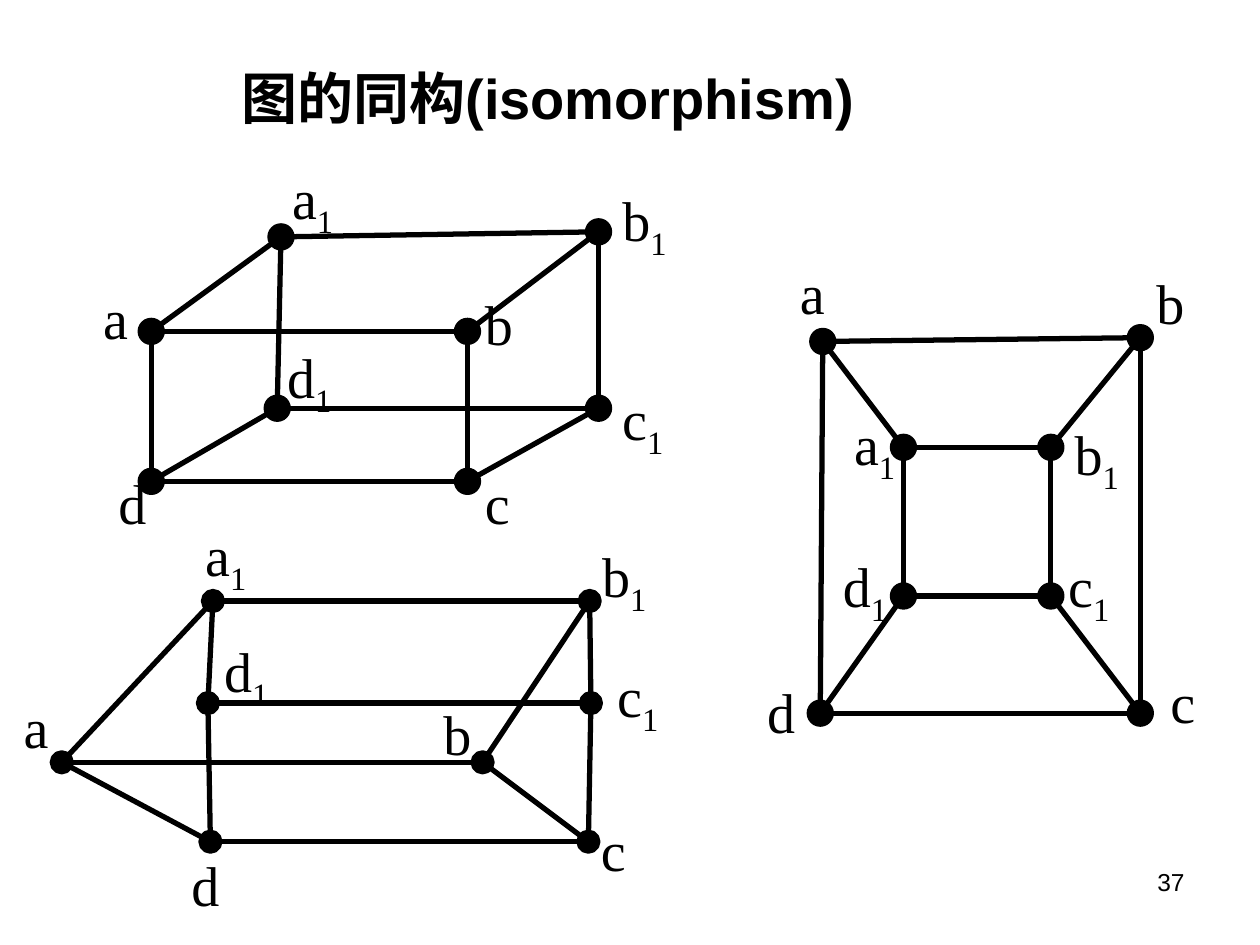
"""Build a slide showing three isomorphic drawings of the cube graph."""
from lxml.etree import SubElement
from pptx import Presentation
from pptx.dml.color import RGBColor
from pptx.enum.shapes import MSO_CONNECTOR, MSO_SHAPE
from pptx.enum.text import MSO_ANCHOR, PP_ALIGN
from pptx.oxml.ns import qn
from pptx.util import Inches, Pt

COLORS = {"ink": "000000", "paper": "FFFFFF"}
INK = RGBColor.from_string(COLORS["ink"])
COLS, ROWS = 100, 75

prs = Presentation()
prs.slide_width, prs.slide_height = Inches(10), Inches(7.5)
CELL = prs.slide_width / COLS
s = prs.slides.add_slide(prs.slide_layouts[6])
s.background.fill.solid()
s.background.fill.fore_color.rgb = RGBColor.from_string(COLORS["paper"])


def grid(*cells):
    return [round(c * CELL) for c in cells]


def add_text(box, text, sub="", size=32, font="Times New Roman", bold=False,
             align=PP_ALIGN.LEFT, wrap=False):
    tf = s.shapes.add_textbox(*grid(*box)).text_frame
    tf.word_wrap = wrap
    p = tf.paragraphs[0]
    p.alignment = align
    for part in filter(None, (text, sub)):
        r = p.add_run()
        r.text = part
        r.font.size, r.font.name, r.font.bold = Pt(size), font, bold
        r.font.color.rgb = INK
        if part == sub:
            r._r.get_or_add_rPr().set("baseline", "-25000")
    return tf


add_text((71.7, 68.3, 23.3, 5.2), "37", size=14, font="Arial",
         align=PP_ALIGN.RIGHT, wrap=True)
title = add_text((1.7, 3.6, 85, 8.3), "图的同构(isomorphism)", font="Arial",
                 bold=True, align=PP_ALIGN.CENTER, wrap=True)
title.vertical_anchor = MSO_ANCHOR.MIDDLE
title.margin_right = Inches(0.24)

EDGES = [("a", "b"), ("b", "c"), ("c", "d"), ("d", "a"),
         ("a1", "b1"), ("b1", "c1"), ("c1", "d1"), ("d1", "a1"),
         ("a", "a1"), ("b", "b1"), ("c", "c1"), ("d", "d1")]

box_view = {
    "a": (12, 26.3, 7.2, 22), "b": (37.1, 26.3, 37.5, 22.5),
    "c": (37.1, 38.2, 37.5, 36.7), "d": (12, 38.2, 8.4, 36.7),
    "a1": (22.3, 18.8, 22.2, 12.5), "b1": (47.5, 18.4, 48.4, 14.2),
    "c1": (47.5, 32.4, 48.4, 30), "d1": (22, 32.4, 21.8, 26.7),
}
nested_view = {
    "a": (65.3, 27.1, 62.5, 20), "b": (90.5, 26.8, 90.8, 20.8),
    "c": (90.5, 56.6, 91.9, 52.5), "d": (65.1, 56.6, 59.9, 53.3),
    "a1": (71.7, 35.5, 66.8, 32), "b1": (83.4, 35.5, 84.3, 32.8),
    "c1": (83.4, 47.3, 83.8, 43.3), "d1": (71.7, 47.3, 65.9, 43.3),
}
prism_view = {
    "a": (4.9, 60.5, 0.9, 54.5), "b": (38.3, 60.5, 34.2, 55),
    "c": (46.7, 66.8, 46.7, 64.2), "d": (16.7, 66.8, 14.2, 67),
    "a1": (16.9, 47.7, 15.3, 40.8), "b1": (46.8, 47.7, 46.8, 42.5),
    "c1": (46.9, 55.8, 48, 52), "d1": (16.5, 55.8, 16.8, 50),
}

for view, dot in ((box_view, 1.75), (nested_view, 1.75), (prism_view, 1.5)):
    for start, end in EDGES:
        ends = grid(*view[start][:2], *view[end][:2])
        line = s.shapes.add_connector(MSO_CONNECTOR.STRAIGHT, *ends)
        line.line.color.rgb, line.line.width = INK, Pt(3)
        SubElement(line._element.spPr, qn("a:effectLst"))
    for x, y, *_ in view.values():
        sp = s.shapes.add_shape(MSO_SHAPE.OVAL,
                                *grid(x - dot / 2, y - dot / 2, dot, dot))
        sp.shadow.inherit = False
        sp.fill.solid()
        sp.fill.fore_color.rgb = INK
        sp.line.color.rgb, sp.line.width = INK, Pt(3)

for view in (box_view, nested_view, prism_view):
    for name, (_, _, left, top) in view.items():
        letter, sub = name[0], name[1:]
        width = (4.2 if letter in "bd" else 4) + (1.3 if sub else 0)
        add_text((left, top, width, 7.1 if sub else 6.4), letter, sub)

prs.save("out.pptx")
